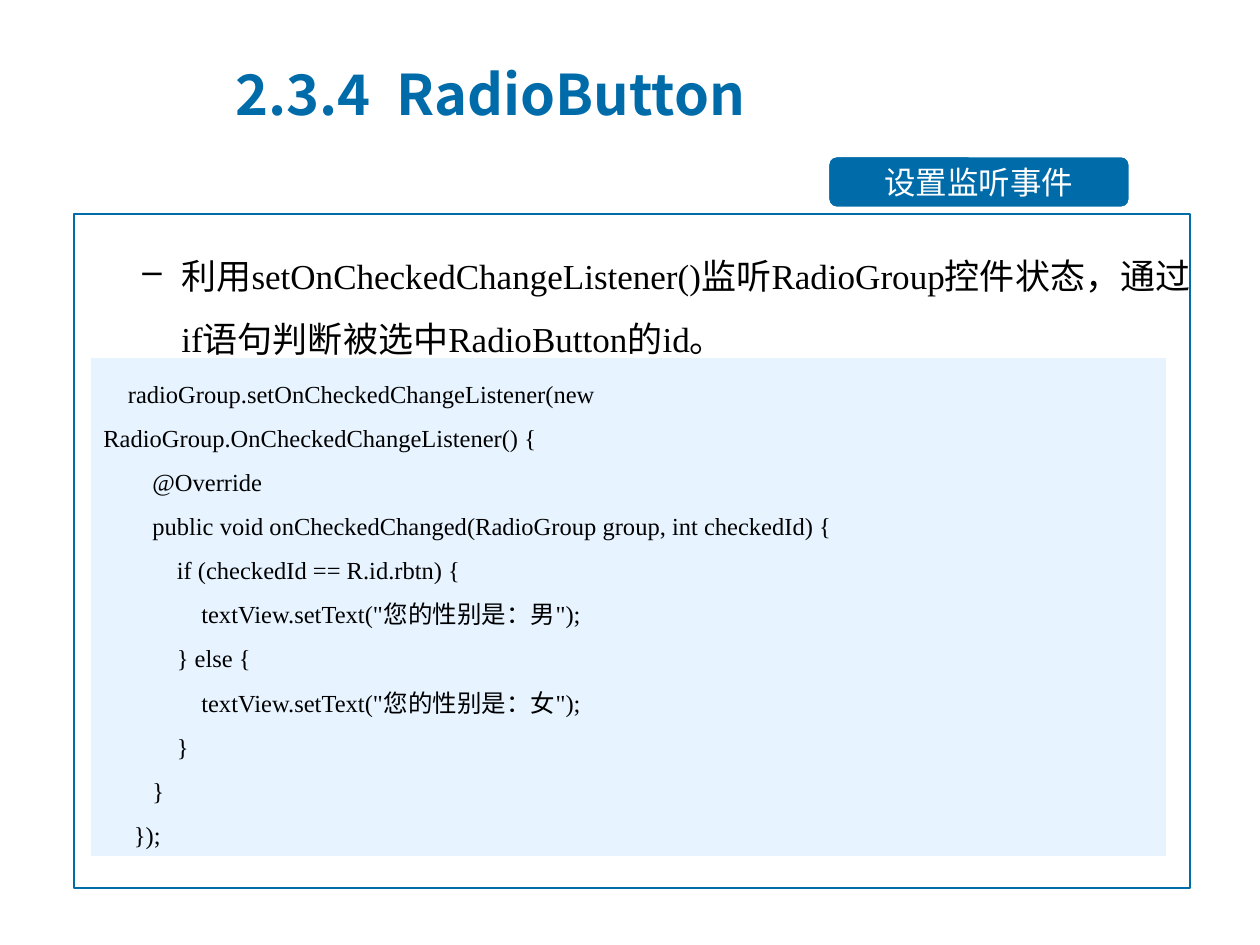
from lxml import etree
from pptx import Presentation
from pptx.dml.color import RGBColor
from pptx.enum.shapes import MSO_SHAPE
from pptx.enum.text import MSO_ANCHOR, PP_ALIGN
from pptx.oxml.ns import qn
from pptx.util import Emu, Pt

RECTANGLE, ROUNDED = MSO_SHAPE.RECTANGLE, MSO_SHAPE.ROUNDED_RECTANGLE
TOP, MIDDLE = MSO_ANCHOR.TOP, MSO_ANCHOR.MIDDLE
LEFT, CENTER = PP_ALIGN.LEFT, PP_ALIGN.CENTER
BLUE = RGBColor(0x00, 0x6B, 0xA9)
PALE_BLUE = RGBColor(0xE7, 0xF4, 0xFF)
WHITE = RGBColor(0xFF, 0xFF, 0xFF)
BLACK = RGBColor(0x00, 0x00, 0x00)
SANS, SERIF = "Noto Sans CJK SC", "Times New Roman"

TITLE = "2.3.4  RadioButton"
TOPIC = "设置监听事件"
EXPLANATION = ("利用setOnCheckedChangeListener()监听RadioGroup控件状态，"
               "通过if语句判断被选中RadioButton的id。")
CODE = [
    "    radioGroup.setOnCheckedChangeListener(new\vRadioGroup.OnCheckedChangeListener() {",
    "        @Override",
    "        public void onCheckedChanged(RadioGroup group, int checkedId) {",
    "            if (checkedId == R.id.rbtn) {",
    '                textView.setText("您的性别是：男");',
    "            } else {",
    '                textView.setText("您的性别是：女");',
    "            }",
    "        }",
    "     });",
]

# left, top, width, height in px
TITLE_BOX = (223, 55, 973, 77)
TOPIC_BOX = (828, 156, 302, 52)
FRAME_BOX = (74, 214, 1116, 674)
EXPLANATION_BOX = (67, 227, 1142, 136)
CODE_BOX = (91, 358, 1075, 498)
BULLET_MARGIN, BULLET_INDENT = 102, -39


def px(length):
    return Emu(round(length * 914400 / 126))


def add_box(slide, kind, box, fill=None, line=None):
    shape = slide.shapes.add_shape(kind, *map(px, box))
    shape.shadow.inherit = False
    if fill is None:
        shape.fill.background()
    else:
        shape.fill.solid()
        shape.fill.fore_color.rgb = fill
    if line is None:
        shape.line.fill.background()
    else:
        shape.line.color.rgb = line
        shape.line.width = Pt(1.5)
    return shape


def write_text(shape, lines, size, font=SERIF, color=BLACK, bold=False,
               align=LEFT, anchor=TOP, spacing=1.0, bullet=None):
    frame = shape.text_frame
    frame.word_wrap = True
    frame.vertical_anchor = anchor
    for index, line in enumerate(lines):
        paragraph = frame.add_paragraph() if index else frame.paragraphs[0]
        paragraph.text = line
        paragraph.alignment = align
        paragraph.line_spacing = spacing
        if bullet:
            properties = paragraph._p.get_or_add_pPr()
            properties.set("marL", str(px(BULLET_MARGIN)))
            properties.set("indent", str(px(BULLET_INDENT)))
            etree.SubElement(properties, qn("a:buChar")).set("char", bullet)
        for run in paragraph.runs:
            run.font.name = font
            run.font.size = Pt(size)
            run.font.bold = bold
            run.font.color.rgb = color
            east_asian = etree.SubElement(run.font._element, qn("a:ea"))
            east_asian.set("typeface", SANS)


def main():
    presentation = Presentation()
    presentation.slide_width, presentation.slide_height = px(1260), px(945)
    slide = presentation.slides.add_slide(presentation.slide_layouts[6])

    add_box(slide, RECTANGLE, FRAME_BOX, line=BLUE)
    topic = add_box(slide, ROUNDED, TOPIC_BOX, fill=BLUE, line=WHITE)
    write_text(topic, [TOPIC], 18, font=SANS, color=WHITE, align=CENTER, anchor=MIDDLE)

    explanation = slide.shapes.add_textbox(*map(px, EXPLANATION_BOX))
    write_text(explanation, [EXPLANATION], 20, spacing=1.5, bullet="–")

    code = add_box(slide, RECTANGLE, CODE_BOX, fill=PALE_BLUE)
    write_text(code, CODE, 14, spacing=1.5)

    title = slide.shapes.add_textbox(*map(px, TITLE_BOX))
    write_text(title, [TITLE], 32, font=SANS, color=BLUE, bold=True, anchor=MIDDLE)

    presentation.save("out.pptx")


if __name__ == "__main__":
    main()
